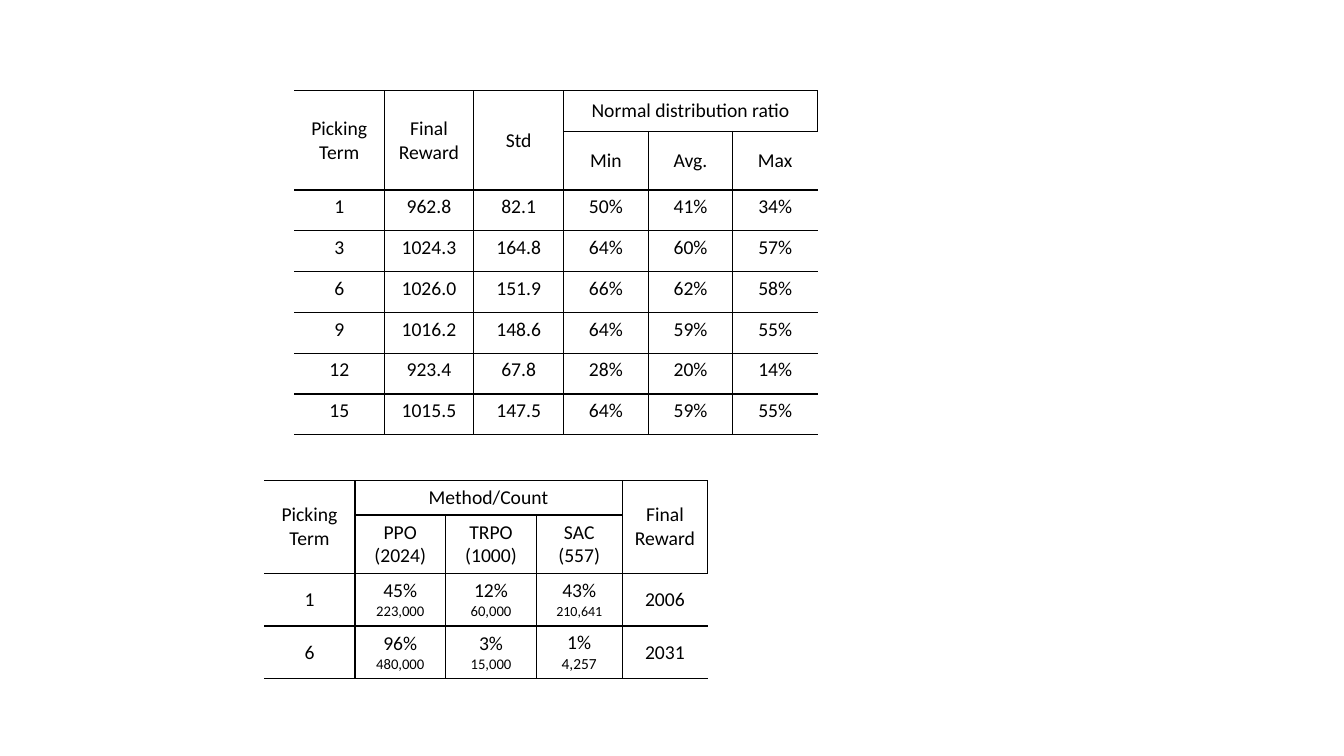
from lxml import etree
from pptx import Presentation
from pptx.dml.color import RGBColor
from pptx.enum.text import MSO_ANCHOR, PP_ALIGN
from pptx.oxml.ns import qn
from pptx.util import Inches, Pt

CENTER = PP_ALIGN.CENTER
TOP, MIDDLE = MSO_ANCHOR.TOP, MSO_ANCHOR.MIDDLE
BLANK_LAYOUT = 6
PLAIN_STYLE = "{2D5ABB26-0587-4C30-8999-92F81FD0307C}"  # no style, no grid


def color(hex_text):
    return RGBColor.from_string(hex_text)


class Sheet:
    """Table style and the current slide."""
    font, ink, size, border = "Calibri", "000000", 14, 1

    def __init__(self, slide):
        self.slide = slide

    def table(self, left, top, widths, heights, rows, merges,
              body_anchor=MIDDLE, count_sizes=()):
        frame = self.slide.shapes.add_table(
            len(rows), len(widths), Inches(left), Inches(top),
            Inches(sum(widths)), Inches(sum(heights)))
        table = frame.table
        table.first_row = table.horz_banding = False
        table._tbl.tblPr.find(qn("a:tableStyleId")).text = PLAIN_STYLE
        for column, width in zip(table.columns, widths):
            column.width = Inches(width)
        for row, height in zip(table.rows, heights):
            row.height = Inches(height)
        for first, last in merges:
            table.cell(*first).merge(table.cell(*last))
        for r, texts in enumerate(rows):
            for c, text in enumerate(texts):
                cell = table.cell(r, c)
                self.borders(cell, c > 0, c < len(widths) - 1)
                cell.fill.background()
                cell.vertical_anchor = MIDDLE if r < 2 else body_anchor
                if text:
                    self.cell_text(cell, text, dict(count_sizes).get((r, c)))

    def cell_text(self, cell, text, count_size):
        cell.text = text
        for index, para in enumerate(cell.text_frame.paragraphs):
            para.alignment = CENTER
            para.font.name = self.font
            para.font.size = Pt(count_size if index and count_size else self.size)
            para.font.color.rgb = color(self.ink)

    def borders(self, cell, left, right):
        """Rule every edge except the table's outer left and right."""
        properties = cell._tc.get_or_add_tcPr()
        for side, drawn in zip("LRTB", (left, right, True, True)):
            if drawn:
                line = etree.SubElement(properties, qn(f"a:ln{side}"), w=str(Pt(self.border)))
                fill = etree.SubElement(line, qn("a:solidFill"))
                etree.SubElement(fill, qn("a:srgbClr"), val=self.ink)


deck = Presentation()
deck.slide_width, deck.slide_height = Inches(13.33), Inches(7.5)
sheet = Sheet(deck.slides.add_slide(deck.slide_layouts[BLANK_LAYOUT]))

# Reward and distribution by picking term
row_height = 3.24 / 8
sheet.table(
    2.92, 0.9, [0.89] * 3 + [0.84] * 3,
    [row_height, 0.58] + [row_height] * 6,
    [["Picking Term", "Final Reward", "Std", "Normal distribution ratio", "", ""],
     ["", "", "", "Min", "Avg.", "Max"],
     ["1", "962.8", "82.1", "50%", "41%", "34%"],
     ["3", "1024.3", "164.8", "64%", "60%", "57%"],
     ["6", "1026.0", "151.9", "66%", "62%", "58%"],
     ["9", "1016.2", "148.6", "64%", "59%", "55%"],
     ["12", "923.4", "67.8", "28%", "20%", "14%"],
     ["15", "1015.5", "147.5", "64%", "59%", "55%"]],
    merges=[((0, c), (1, c)) for c in range(3)] + [((0, 3), (0, 5))],
    body_anchor=TOP)

# Share and count of each method
sheet.table(
    2.62, 4.77, [0.9] * 3 + [0.85] * 2, [0.34, 0.58, 0.52, 0.52],
    [["Picking Term", "Method/Count", "", "", "Final\nReward"],
     ["", "PPO\n(2024)", "TRPO\n(1000)", "SAC\n(557)", ""],
     ["1", "45%\n223,000", "12%\n60,000", "43%\n210,641", "2006"],
     ["6", "96%\n480,000", "3%\n15,000", "1%\n4,257", "2031"]],
    merges=[((0, 0), (1, 0)), ((0, 1), (0, 3)), ((0, 4), (1, 4))],
    count_sizes={(2, 1): 10.5, (2, 2): 10.5, (2, 3): 10,
                 (3, 1): 10.5, (3, 2): 10.5, (3, 3): 11})

deck.save("out.pptx")
